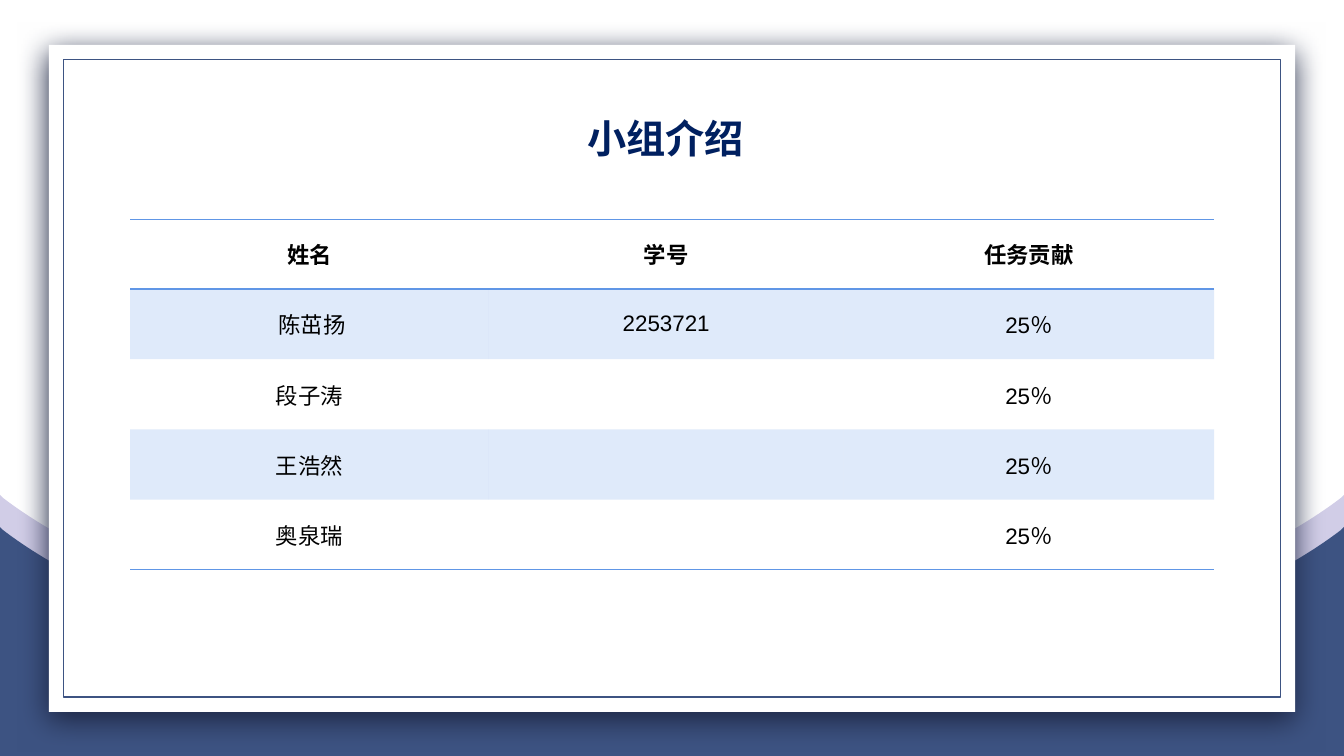
from lxml.etree import SubElement
from pptx import Presentation
from pptx.dml.color import RGBColor
from pptx.enum.shapes import MSO_SHAPE as SHAPE
from pptx.enum.text import MSO_ANCHOR as ANCHOR, PP_ALIGN as ALIGN
from pptx.oxml.ns import qn
from pptx.util import Cm, Pt

WHITE = RGBColor(0xFF, 0xFF, 0xFF)
BLACK = RGBColor(0x00, 0x00, 0x00)
NAVY = RGBColor(0x00, 0x20, 0x60)
SLATE = RGBColor(0x3D, 0x53, 0x82)
LILAC = RGBColor(0xD1, 0xCD, 0xE7)
BLUE = RGBColor(0x60, 0x96, 0xE6)
SHADOW = RGBColor(0x1D, 0x26, 0x43)
CJK = "Noto Sans CJK SC"

SLIDE_W, SLIDE_H = 33.87, 19.05
WAVE_H = 5.77
COLUMN_WIDTHS = (9.04, 8.94, 9.34)
HEADER_H, ROW_H = 1.75, 1.77
HEADERS = ("姓名", "学号", "任务贡献")
MEMBERS = (
    (" 陈茁扬", "2253721", "25％"),
    ("段子涛", "", "25％"),
    ("王浩然", "", "25％"),
    ("奥泉瑞", "", "25％"),
)


def write_text(tf, text, size=16, font="Arial", color=BLACK, bold=False, spacing=None):
    p = tf.paragraphs[0]
    p.alignment = ALIGN.CENTER
    if spacing:
        p.line_spacing = spacing
    r = p.add_run()
    r.text = text
    r.font.size = Pt(size)
    r.font.name = font
    r.font.bold = bold
    r.font.color.rgb = color
    SubElement(r.font._element, qn("a:ea"), typeface=CJK)


def curve_segment(segment, controls):
    """Turn a straight freeform segment into a cubic curve."""
    curve = segment.makeelement(qn("a:cubicBezTo"))
    for x, y in controls:
        SubElement(curve, qn("a:pt"), x=str(Cm(x)), y=str(Cm(y)))
    curve.append(segment[0])
    segment.getparent().replace(segment, curve)


def add_wave(slide, top, color):
    """Draw a full-width band whose upper edge sags symmetrically."""
    falling = ((3.28, 2.52), (9.63, 4.19))
    rising = [(SLIDE_W - x, y) for x, y in reversed(falling)]
    outline = ((0.08, 0.08), (SLIDE_W / 2, 4.19), (SLIDE_W - 0.08, 0.08),
               (SLIDE_W, 0), (SLIDE_W, WAVE_H), (0, WAVE_H))
    builder = slide.shapes.build_freeform(0, Cm(top))
    builder.add_line_segments([(Cm(x), Cm(top + y)) for x, y in outline])
    sp = builder.convert_to_shape()
    segments = list(sp._element.iter(qn("a:lnTo")))
    curve_segment(segments[1], falling)
    curve_segment(segments[2], rising)
    sp.shadow.inherit = False
    sp.fill.solid()
    sp.fill.fore_color.rgb = color
    sp.line.fill.background()


def add_rect(shapes, left, top, width, height, fill=None, line=None):
    sp = shapes.add_shape(SHAPE.RECTANGLE, Cm(left), Cm(top), Cm(width), Cm(height))
    sp.shadow.inherit = False
    if fill is None:
        sp.fill.background()
    else:
        sp.fill.solid()
        sp.fill.fore_color.rgb = fill
    if line is None:
        sp.line.fill.background()
    else:
        sp.line.color.rgb = line
        sp.line.width = Pt(1)
    return sp


def add_shadow(sp, color, blur, distance):
    """Cast an opaque shadow straight down."""
    effects = sp._element.spPr.find(qn("a:effectLst"))
    shadow = SubElement(effects, qn("a:outerShdw"), blurRad=str(Pt(blur)),
                        dist=str(Pt(distance)), dir="5400000",
                        algn="t", rotWithShape="0")
    SubElement(shadow, qn("a:srgbClr"), val=str(color))


def add_card(slide):
    group = slide.shapes.add_group_shape()
    card = add_rect(group.shapes, 1.23, 1.13, 31.41, 16.81, fill=WHITE)
    add_shadow(card, SHADOW, blur=22, distance=6)
    add_rect(group.shapes, 1.6, 1.5, 30.67, 16.07, line=SLATE)


def set_borders(cell, ruled):
    """Rule the sides named in ruled (T, B) and clear the others."""
    tcPr = cell._tc.get_or_add_tcPr()
    for side in "LRTB":
        ln = SubElement(tcPr, qn(f"a:ln{side}"), w=str(Pt(1)))
        if side in ruled:
            fill = SubElement(ln, qn("a:solidFill"))
            SubElement(fill, qn("a:srgbClr"), val=str(BLUE))
        else:
            SubElement(ln, qn("a:noFill"))


def fill_cell(cell, shaded):
    if not shaded:
        cell.fill.background()
        return
    cell.fill.solid()
    cell.fill.fore_color.rgb = BLUE
    color = cell._tc.tcPr.find(qn("a:solidFill")).find(qn("a:srgbClr"))
    SubElement(color, qn("a:alpha"), val="20000")


def add_member_table(slide):
    rows = (HEADERS,) + MEMBERS
    height = HEADER_H + ROW_H * len(MEMBERS)
    frame = slide.shapes.add_table(len(rows), len(HEADERS), Cm(3.28), Cm(5.53),
                                   Cm(sum(COLUMN_WIDTHS)), Cm(height))
    table = frame.table
    table.first_row = table.horz_banding = False
    for column, width in zip(table.columns, COLUMN_WIDTHS):
        column.width = Cm(width)
    ruled = {0: "TB", 1: "T", len(rows) - 1: "B"}
    for i, row in enumerate(rows):
        table.rows[i].height = Cm(ROW_H if i else HEADER_H)
        for j, text in enumerate(row):
            cell = table.cell(i, j)
            cell.margin_left = cell.margin_right = 0
            cell.margin_top = cell.margin_bottom = Cm(0 if i else 0.2)
            cell.vertical_anchor = ANCHOR.MIDDLE
            set_borders(cell, ruled.get(i, ""))
            fill_cell(cell, shaded=i % 2 == 1)
            if text:
                write_text(cell.text_frame, text, bold=i == 0)


def add_title(slide, text):
    tf = slide.shapes.add_textbox(Cm(8.2), Cm(2.84), Cm(17.15), Cm(1.35)).text_frame
    tf.word_wrap = True
    tf.vertical_anchor = ANCHOR.BOTTOM
    write_text(tf, text, size=28, font=CJK, color=NAVY, bold=True, spacing=1.5)


def main():
    prs = Presentation()
    prs.slide_width, prs.slide_height = Cm(SLIDE_W), Cm(SLIDE_H)
    slide = prs.slides.add_slide(prs.slide_layouts[6])
    add_wave(slide, SLIDE_H - WAVE_H - 0.81, LILAC)
    add_wave(slide, SLIDE_H - WAVE_H, SLATE)
    add_card(slide)
    add_member_table(slide)
    add_title(slide, "小组介绍")
    prs.save("out.pptx")


if __name__ == "__main__":
    main()
